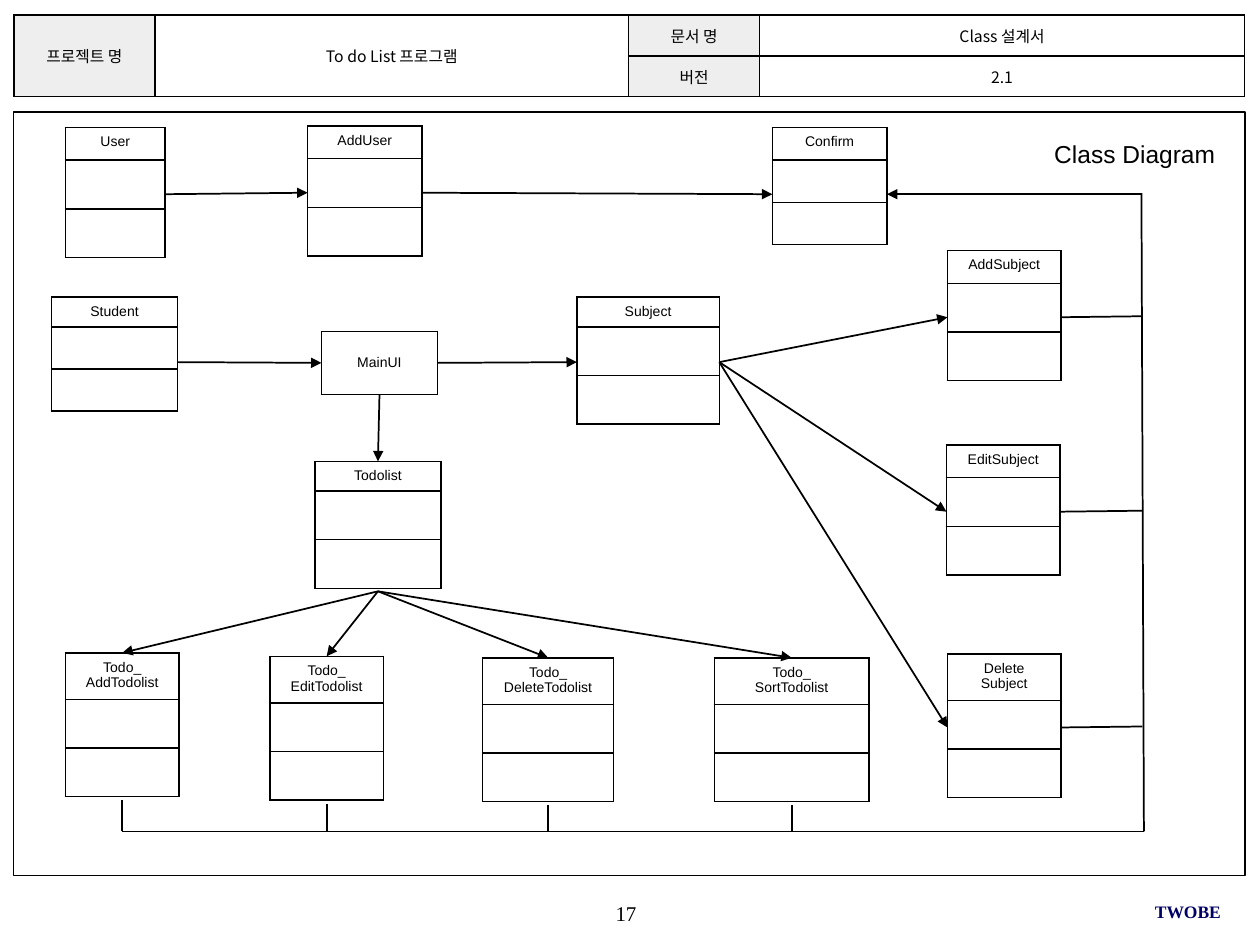
from dataclasses import dataclass

from lxml.etree import SubElement
from pptx import Presentation
from pptx.dml.color import RGBColor
from pptx.enum.shapes import MSO_CONNECTOR, MSO_SHAPE
from pptx.enum.text import MSO_ANCHOR, PP_ALIGN
from pptx.oxml.ns import qn
from pptx.util import Cm, Pt

COLORS = {"ink": "000000", "label": "EEEEEE", "paper": "FFFFFF", "team": "000066"}
FORMATS = {
    "header": {"name": "Noto Sans CJK KR", "size": Pt(9), "bold": False},
    "class": {"name": "Arial", "size": Pt(8), "bold": False},
    "title": {"name": "Arial", "size": Pt(14), "bold": False},
    "page": {"name": "Times New Roman", "size": Pt(12), "bold": False},
    "team": {"name": "Times New Roman", "size": Pt(10), "bold": True},
}
PLAIN = (2.69, (0.66, 0.98, 0.98))
COMPACT = (2.62, (0.58, 0.98, 0.98))
TALL = (2.97, (0.89, 0.98, 0.98))


@dataclass
class ClassBox:
    """One class: its name, place, connection height and row heights."""

    name: str
    left: float
    top: float
    width: float
    height: float
    rows: tuple

    @property
    def ports(self):
        """Return the connection points by side."""
        center, middle = self.left + self.width / 2, self.top + self.height / 2
        return {
            "top": (center, self.top),
            "bottom": (center, self.top + self.height),
            "left": (self.left, middle),
            "right": (self.left + self.width, middle),
        }


CLASSES = [
    ClassBox("User", 1.32, 2.57, 2.01, *PLAIN),
    ClassBox("AddUser", 6.2, 2.54, 2.31, *PLAIN),
    ClassBox("Confirm", 15.57, 2.57, 2.31, 2.69, (0.66, 0.85, 0.85)),
    ClassBox("Student", 1.04, 5.99, 2.54, 2.62, (0.58, 0.85, 0.85)),
    ClassBox("MainUI", 6.48, 6.68, 2.34, 1.27, (1.27,)),
    ClassBox("Subject", 11.63, 5.99, 2.87, *COMPACT),
    ClassBox("Todolist", 6.35, 9.3, 2.54, *COMPACT),
    ClassBox("AddSubject", 19.1, 5.05, 2.29, *PLAIN),
    ClassBox("EditSubject", 19.08, 8.97, 2.29, *PLAIN),
    ClassBox("Delete\nSubject", 19.1, 13.18, 2.29, *TALL),
    ClassBox("Todo_\nAddTodolist", 1.32, 13.16, 2.29, *TALL),
    ClassBox("Todo_\nEditTodolist", 5.44, 13.23, 2.29, *TALL),
    ClassBox("Todo_\nDeleteTodolist", 9.73, 13.26, 2.64, *TALL),
    ClassBox("Todo_\nSortTodolist", 14.4, 13.26, 3.12, *TALL),
]
SUBJECT_ACTIONS = ["AddSubject", "EditSubject", "Delete\nSubject"]
TODO_ACTIONS = [box.name for box in CLASSES if box.name.startswith("Todo_")]
ARROWS = [
    ("User", "right", "AddUser", "left"),
    ("AddUser", "right", "Confirm", "left"),
    ("Student", "right", "MainUI", "left"),
    ("MainUI", "right", "Subject", "left"),
    ("MainUI", "bottom", "Todolist", "top"),
    *[("Subject", "right", name, "left") for name in SUBJECT_ACTIONS],
    *[("Todolist", "bottom", name, "top") for name in TODO_ACTIONS],
]


def write_text(text_frame, text, style, align, color="ink"):
    """Write one paragraph per line of text in the given style."""
    for index, line in enumerate(text.split("\n")):
        paragraph = text_frame.paragraphs[0] if index == 0 else text_frame.add_paragraph()
        paragraph.alignment = align
        run = paragraph.add_run()
        run.text = line
        for attribute, value in FORMATS[style].items():
            setattr(run.font, attribute, value)
        run.font.color.rgb = RGBColor.from_string(COLORS[color])
        east_asian = SubElement(run.font._element, qn("a:ea"))
        east_asian.set("typeface", FORMATS[style]["name"])


def add_text(slide, box, text, style, align, color="ink"):
    """Add a text box without insets, centred vertically."""
    text_frame = slide.shapes.add_textbox(*map(Cm, box)).text_frame
    values = {"word_wrap": True, "vertical_anchor": MSO_ANCHOR.MIDDLE, "margin_left": 0,
              "margin_right": 0, "margin_top": 0, "margin_bottom": 0}
    for attribute, value in values.items():
        setattr(text_frame, attribute, value)
    write_text(text_frame, text, style, align, color)


def add_grid(slide, left, top, columns, rows):
    """Add a plain table with the given column widths and row heights."""
    box = (left, top, sum(columns), sum(rows))
    table = slide.shapes.add_table(len(rows), len(columns), *map(Cm, box)).table
    table.first_row = table.horz_banding = False
    for column, width in zip(table.columns, columns):
        column.width = Cm(width)
    for row, height in zip(table.rows, rows):
        row.height = Cm(height)
    return table


def format_cell(cell, fill, margins, anchor):
    """Give a cell black borders, a fill, margins and an anchor."""
    properties = cell._tc.get_or_add_tcPr()
    for side in ("lnL", "lnR", "lnT", "lnB"):
        border = SubElement(properties, qn(f"a:{side}"), w=str(Pt(1)))
        color = SubElement(SubElement(border, qn("a:solidFill")), qn("a:srgbClr"))
        color.set("val", COLORS["ink"])
    cell.fill.solid()
    cell.fill.fore_color.rgb = RGBColor.from_string(COLORS[fill])
    horizontal, vertical = map(Cm, margins)
    values = {"margin_left": horizontal, "margin_right": horizontal,
              "margin_top": vertical, "margin_bottom": vertical, "vertical_anchor": anchor}
    for attribute, value in values.items():
        setattr(cell, attribute, value)


def add_header(slide, left, top):
    """Add the document header table."""
    table = add_grid(slide, left, top, (2.84, 9.55, 2.64, 9.78), (0.83, 0.82))
    for row in table.rows:
        for index, cell in enumerate(row.cells):
            fill = "paper" if index % 2 else "label"
            format_cell(cell, fill, (0.1, 0.05), MSO_ANCHOR.MIDDLE)
    for column in (0, 1):
        table.cell(0, column).merge(table.cell(1, column))
    texts = {(0, 0): "프로젝트 명", (0, 1): "To do List 프로그램", (0, 2): "문서 명",
             (0, 3): "Class 설계서", (1, 2): "버전", (1, 3): "2.1"}
    for position, text in texts.items():
        write_text(table.cell(*position).text_frame, text, "header", PP_ALIGN.CENTER)


def add_frame(slide, box):
    """Add the outlined diagram area with its title."""
    frame = slide.shapes.add_shape(MSO_SHAPE.RECTANGLE, *map(Cm, box))
    frame.shadow.inherit = False
    frame.fill.background()
    frame.line.width = Pt(0.75)
    frame.line.color.rgb = RGBColor.from_string(COLORS["ink"])
    left, top, width, height = box
    title_box = (left + width - 4.6, top + 0.4, 4.0, 0.86)
    add_text(slide, title_box, "Class Diagram", "title", PP_ALIGN.RIGHT)


def add_class(slide, box):
    """Add a class as a one-column table with its name in the first row."""
    table = add_grid(slide, box.left, box.top, (box.width,), box.rows)
    anchor = MSO_ANCHOR.TOP if len(box.rows) > 1 else MSO_ANCHOR.MIDDLE
    for index in range(len(box.rows)):
        margins = (0.1, 0) if index else (0.1, 0.13)
        format_cell(table.cell(index, 0), "paper", margins, anchor)
    write_text(table.cell(0, 0).text_frame, box.name, "class", PP_ALIGN.CENTER)


def add_line(slide, start, end, arrow=False):
    """Add a straight black line, with an arrowhead at its end if asked."""
    connector = slide.shapes.add_connector(MSO_CONNECTOR.STRAIGHT, *map(Cm, (*start, *end)))
    connector.line.width = Pt(1)
    connector.line.color.rgb = RGBColor.from_string(COLORS["ink"])
    if arrow:
        SubElement(connector.line._get_or_add_ln(), qn("a:tailEnd"), type="triangle")
    SubElement(connector._element.spPr, qn("a:effectLst"))


def add_return_path(slide, ports, right, bottom):
    """Add the shared line leading from the actions back to Confirm."""
    confirm = ports["Confirm"]["right"]
    add_line(slide, (right, confirm[1]), confirm, arrow=True)
    add_line(slide, (right, confirm[1] - 0.02), (right + 0.05, bottom))
    add_line(slide, (right + 0.05, bottom), (ports[TODO_ACTIONS[0]]["bottom"][0], bottom))
    for name in TODO_ACTIONS:
        center, base = ports[name]["bottom"]
        add_line(slide, (center, bottom), (center, base))
    for name in SUBJECT_ACTIONS:
        edge, middle = ports[name]["right"]
        add_line(slide, (right + 0.02, middle - 0.02), (edge, middle))


def main():
    """Build and save the class diagram slide."""
    presentation = Presentation()
    presentation.slide_width, presentation.slide_height = Cm(25.4), Cm(19.05)
    slide = presentation.slides.add_slide(presentation.slide_layouts[6])
    add_text(slide, (9.98, 17.98, 5.28, 0.84), "17", "page", PP_ALIGN.CENTER)
    add_header(slide, 0.28, 0.3)
    add_frame(slide, (0.28, 2.26, 24.82, 15.39))
    add_text(slide, (16.84, 17.96, 7.77, 0.84), "TWOBE", "team", PP_ALIGN.RIGHT, "team")
    for box in CLASSES:
        add_class(slide, box)
    ports = {box.name: box.ports for box in CLASSES}
    for source, source_side, target, target_side in ARROWS:
        add_line(slide, ports[source][source_side], ports[target][target_side], arrow=True)
    add_return_path(slide, ports, 23.01, 16.76)
    presentation.save("out.pptx")


if __name__ == "__main__":
    main()
